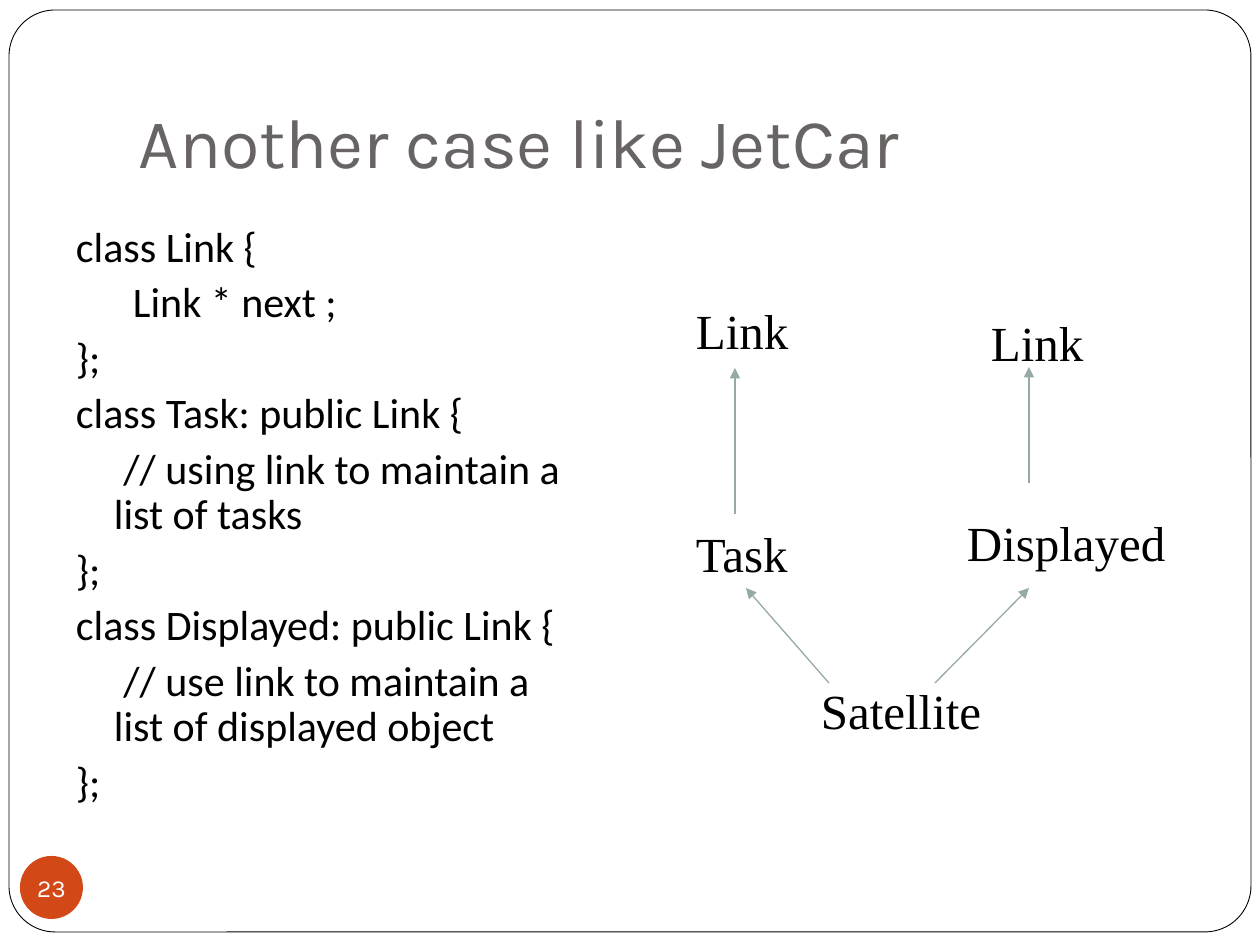
"""Build the slide on two classes that both inherit from Link."""
from lxml import etree
from pptx import Presentation
from pptx.dml.color import RGBColor
from pptx.enum.shapes import MSO_CONNECTOR, MSO_SHAPE
from pptx.enum.text import MSO_ANCHOR, PP_ALIGN
from pptx.oxml.ns import qn
from pptx.util import Emu, Pt

STRAIGHT = MSO_CONNECTOR.STRAIGHT
ROUNDED, OVAL = MSO_SHAPE.ROUNDED_RECTANGLE, MSO_SHAPE.OVAL
TOP, MIDDLE, BOTTOM = MSO_ANCHOR.TOP, MSO_ANCHOR.MIDDLE, MSO_ANCHOR.BOTTOM
LEFT, CENTER = PP_ALIGN.LEFT, PP_ALIGN.CENTER

COLORS = {
    "white": "FFFFFF",
    "black": "000000",
    "title": "696464",
    "arrow": "96A9A9",
    "badge": "D34817",
}


def px(length):
    return Emu(round(length * 914400 / 126))


def write_text(shape, text, font="Times New Roman", size=28, color="black",
               align=LEFT, anchor=TOP, margins=(13, 6, 13, 6),
               hanging=0, spacing=None, before=0):
    frame = shape.text_frame
    frame.word_wrap = True
    frame.vertical_anchor = anchor
    (frame.margin_left, frame.margin_top,
     frame.margin_right, frame.margin_bottom) = map(px, margins)
    frame.text = text
    for index, paragraph in enumerate(frame.paragraphs):
        if hanging:
            properties = paragraph._p.get_or_add_pPr()
            properties.set("marL", str(px(hanging)))
            properties.set("indent", str(-px(hanging)))
        paragraph.alignment = align
        paragraph.line_spacing = spacing
        paragraph.space_before = Pt(before if index else 0)
        paragraph.font.name = font
        paragraph.font.size = Pt(size)
        paragraph.font.color.rgb = RGBColor.from_string(COLORS[color])


presentation = Presentation()
presentation.slide_width, presentation.slide_height = px(1260), px(945)
slide = presentation.slides.add_slide(presentation.slide_layouts[6])
shapes = slide.shapes

frame_shape = shapes.add_shape(ROUNDED, px(9), px(10), px(1242), px(922))
frame_shape.adjustments[0] = 0.05
frame_shape.shadow.inherit = False
frame_shape.fill.solid()
frame_shape.fill.fore_color.rgb = RGBColor.from_string(COLORS["white"])
frame_shape.line.color.rgb = RGBColor.from_string(COLORS["black"])
frame_shape.line.width = Pt(0.5)

title = shapes.add_textbox(px(126), px(38), px(1071), px(157))
write_text(title, "Another case like JetCar", font="Karla", size=40,
           color="title", anchor=BOTTOM, margins=(13, 6, 13, 13))

CODE = """class Link {
      Link * next ;
};
class Task: public Link {
     // using link to maintain a list of tasks
};
class Displayed: public Link {
     // use link to maintain a list of displayed object
};"""
code_box = shapes.add_textbox(px(63), px(220), px(525), px(624))
write_text(code_box, CODE, font="Calibri", size=24, hanging=38,
           spacing=0.9, before=5.8)

CLASS_LABELS = [
    ("Link", 683, 294, 144),
    ("Link", 978, 306, 131),
    ("Task", 683, 517, 134),
    ("Displayed", 954, 507, 255),
    ("Satellite", 808, 674, 212),
]
for name, left, top, width in CLASS_LABELS:
    label = shapes.add_textbox(px(left), px(top), px(width), px(72))
    write_text(label, name)

INHERITANCE_ARROWS = [
    (735, 514, 735, 368),
    (1029, 483, 1029, 367),
    (829, 683, 746, 588),
    (935, 683, 1029, 588),
]
for ends in INHERITANCE_ARROWS:
    arrow = shapes.add_connector(STRAIGHT, *map(px, ends))
    arrow.line.color.rgb = RGBColor.from_string(COLORS["arrow"])
    arrow.line.width = Pt(0.75)
    line = arrow.line._get_or_add_ln()
    etree.SubElement(line, qn("a:tailEnd")).set("type", "triangle")
    etree.SubElement(arrow._element.spPr, qn("a:effectLst"))

badge = shapes.add_shape(OVAL, px(20), px(856), px(63), px(63))
badge.shadow.inherit = False
badge.fill.solid()
badge.fill.fore_color.rgb = RGBColor.from_string(COLORS["badge"])
badge.line.fill.background()
write_text(badge, "23", font="Karla", size=14, color="white",
           align=CENTER, anchor=MIDDLE, margins=(0, 0, 0, 0))

presentation.save("out.pptx")
